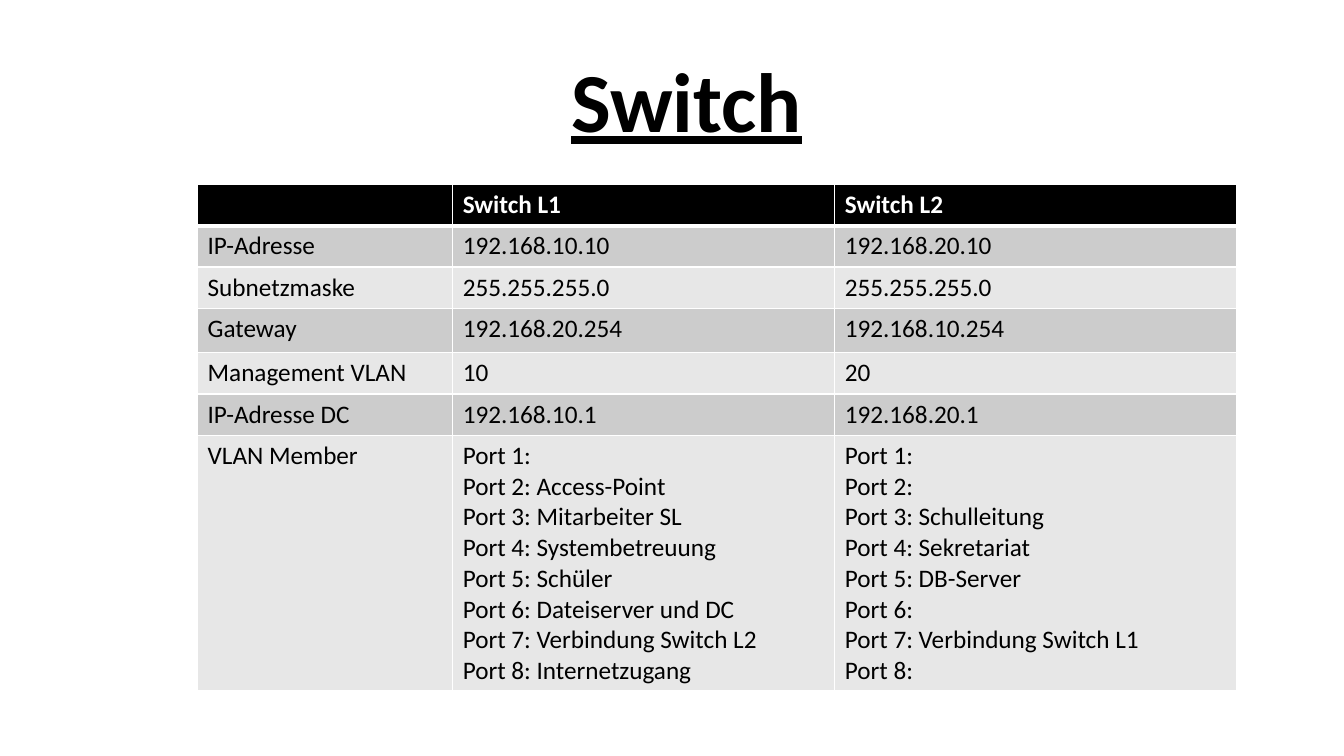
"""Build a slide with a table comparing the settings of two switches."""
from lxml.etree import SubElement
from pptx import Presentation
from pptx.dml.color import RGBColor
from pptx.enum.text import MSO_ANCHOR, PP_ALIGN
from pptx.oxml.ns import qn
from pptx.util import Inches, Pt

TITLE = "Switch"
PORTS_L1 = ["Port 1:", "Port 2: Access-Point", "Port 3: Mitarbeiter SL",
            "Port 4: Systembetreuung", "Port 5: Schüler",
            "Port 6: Dateiserver und DC", "Port 7: Verbindung Switch L2",
            "Port 8: Internetzugang"]
PORTS_L2 = ["Port 1:", "Port 2:", "Port 3: Schulleitung",
            "Port 4: Sekretariat", "Port 5: DB-Server", "Port 6:",
            "Port 7: Verbindung Switch L1", "Port 8:"]
ROWS = [
    ("", "Switch L1", "Switch L2"),
    ("IP-Adresse", "192.168.10.10", "192.168.20.10"),
    ("Subnetzmaske", "255.255.255.0", "255.255.255.0"),
    ("Gateway", "192.168.20.254", "192.168.10.254"),
    ("Management VLAN", "10", "20"),
    ("IP-Adresse DC", "192.168.10.1", "192.168.20.1"),
    ("VLAN Member", "\n".join(PORTS_L1), "\n".join(PORTS_L2)),
]
COLUMN_WIDTHS = [2.53, 3.79, 3.99]
ROW_HEIGHTS = [0.41, 0.41, 0.41, 0.44, 0.41, 0.41, 2.53]

BLACK = RGBColor(0x00, 0x00, 0x00)
WHITE = RGBColor(0xFF, 0xFF, 0xFF)
DARK_BAND = RGBColor(0xCC, 0xCC, 0xCC)
LIGHT_BAND = RGBColor(0xE7, 0xE7, 0xE7)
FONT = "Calibri"


def style_font(font, size, color, bold):
    font.name = FONT
    font.size = Pt(size)
    font.color.rgb = color
    font.bold = bold


def add_borders(cell, top, bottom):
    properties = cell._tc.get_or_add_tcPr()
    for side, width in (("L", 1), ("R", 1), ("T", top), ("B", bottom)):
        line = SubElement(properties, qn(f"a:ln{side}"), w=str(Pt(width)))
        fill = SubElement(line, qn("a:solidFill"))
        SubElement(fill, qn("a:srgbClr"), val=str(WHITE))


def add_title(page):
    box = page.shapes.add_textbox(Inches(1.81), Inches(0.34), Inches(10), Inches(1.2))
    frame = box.text_frame
    frame.word_wrap = True
    frame.vertical_anchor = MSO_ANCHOR.BOTTOM
    para = frame.paragraphs[0]
    para.text = TITLE
    para.alignment = PP_ALIGN.CENTER
    para.line_spacing = 0.9
    style_font(para.font, 60, BLACK, True)
    para.font.underline = True


def add_switch_table(page):
    table = page.shapes.add_table(
        len(ROWS), len(COLUMN_WIDTHS), Inches(1.96), Inches(1.83),
        Inches(sum(COLUMN_WIDTHS)), Inches(sum(ROW_HEIGHTS))).table
    for column, width in zip(table.columns, COLUMN_WIDTHS):
        column.width = Inches(width)
    for index, (row, height, texts) in enumerate(zip(table.rows, ROW_HEIGHTS, ROWS)):
        row.height = Inches(height)
        header = index == 0
        band = BLACK if header else DARK_BAND if index % 2 else LIGHT_BAND
        for cell, text in zip(row.cells, texts):
            add_borders(cell, 3 if index == 1 else 1, 3 if header else 1)
            cell.fill.solid()
            cell.fill.fore_color.rgb = band
            cell.text = text
            for para in cell.text_frame.paragraphs:
                style_font(para.font, 18, WHITE if header else BLACK, header)


def main():
    deck = Presentation()
    deck.slide_width = Inches(13.33)
    deck.slide_height = Inches(7.5)
    page = deck.slides.add_slide(deck.slide_layouts[6])
    add_title(page)
    add_switch_table(page)
    deck.save("out.pptx")


if __name__ == "__main__":
    main()
